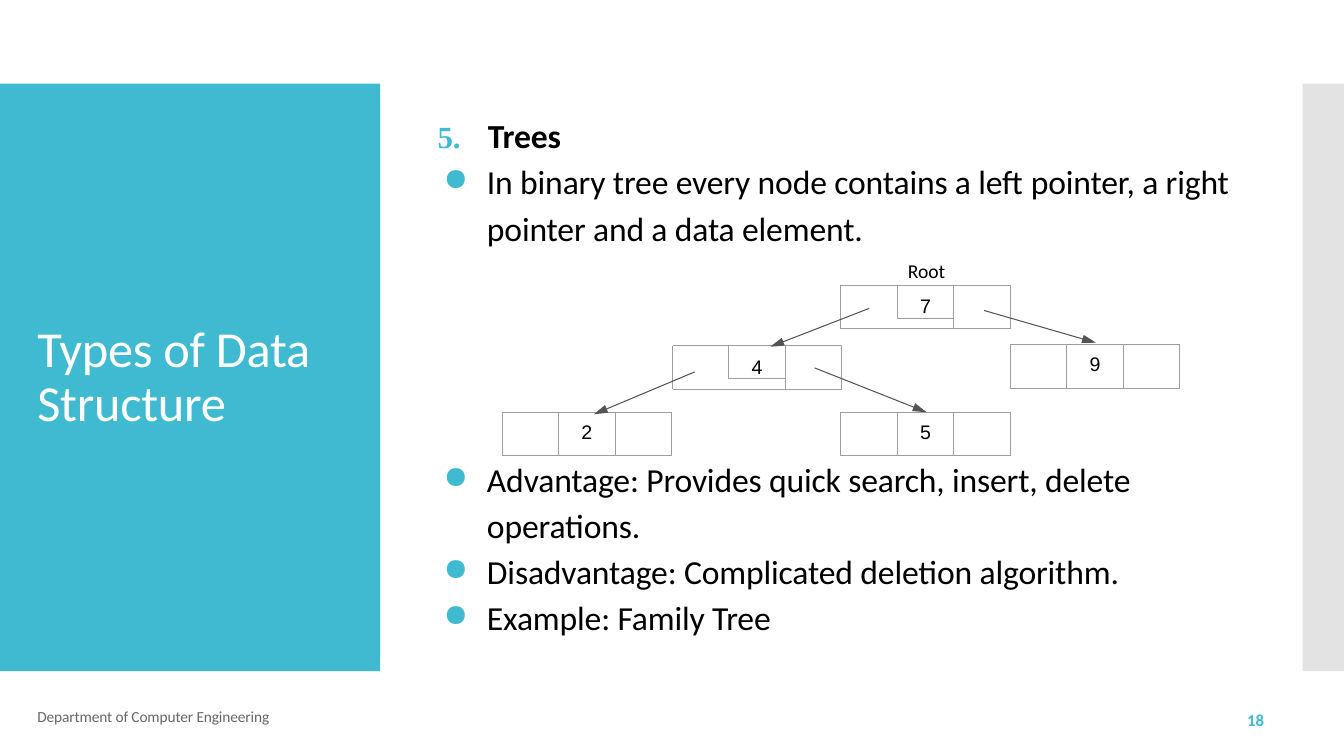
from dataclasses import dataclass

from lxml.etree import SubElement
from pptx import Presentation
from pptx.dml.color import RGBColor as Rgb
from pptx.enum.shapes import MSO_CONNECTOR as Link, MSO_SHAPE as Kind
from pptx.enum.text import PP_ALIGN as Align
from pptx.oxml.ns import qn
from pptx.util import Pt

PX = 9144  # 100 px to the inch
INK = {"teal": "40BAD1", "grey": "E3E3E3", "edge": "9E9E9E", "arrow": "545454",
       "note": "666666", "white": "FFFFFF", "black": "000000"}
CELL, TALL, INNER = 56, 43, 33


@dataclass
class Node:
    key: str
    x: int
    y: int
    framed: bool = False  # drawn with a short inner box instead of a table

    @property
    def wide(self) -> int:
        return 3 * CELL


@dataclass
class Arrow:
    x1: int
    y1: int
    x2: int
    y2: int


NODES = [
    Node("7", 834, 283, framed=True),
    Node("9", 1002, 342),
    Node("4", 667, 343, framed=True),
    Node("2", 498, 409),
    Node("5", 834, 409),
]
ARROWS = [
    Arrow(862, 306, 764, 344),
    Arrow(689, 369, 589, 411),
    Arrow(976, 308, 1087, 340),
    Arrow(808, 365, 919, 409),
]


def px(*nums: int) -> list[int]:
    return [n * PX for n in nums]


def tint(name: str) -> Rgb:
    return Rgb.from_string(INK[name])


def write(frame, text: str, size: float = 24, font: str = "Calibri",
          ink: str = "black", bold: bool = False, align=Align.LEFT,
          before: float = 0, lines=None, left: int = 0, hang: int = 0,
          dot: bool = False, tab: int = 0, spc: int = 0, join: bool = False):
    """Add a paragraph, or with join a further run in the last one."""
    para = frame.paragraphs[-1]
    if para.runs and not join:
        para = frame.add_paragraph()
    if not join:
        para.alignment = align
        para.space_before = Pt(before)
        if lines:
            para.line_spacing = lines
        props = para._p.get_or_add_pPr()
        props.set("marL", str(left * PX))
        props.set("indent", str(-hang * PX))
        if dot:
            tone = SubElement(props, qn("a:buClr"))
            SubElement(tone, qn("a:srgbClr"), val=INK["teal"])
            SubElement(props, qn("a:buSzPct"), val="92000")
            SubElement(props, qn("a:buChar"), char="●")
        if tab:
            tabs = SubElement(props, qn("a:tabLst"))
            SubElement(tabs, qn("a:tab"), pos=str(tab * PX), algn="l")
    run = para.add_run()
    run.text = text
    run.font.size, run.font.name, run.font.bold = Pt(size), font, bold
    run.font.color.rgb = tint(ink)
    if spc:
        run._r.get_or_add_rPr().set("spc", str(spc))


def inset(item, top: int):
    """Clear the margins of a frame or a cell, all but the top one."""
    item.margin_left = item.margin_right = item.margin_bottom = 0
    item.margin_top = top * PX


def box(slide, x: int, y: int, w: int, h: int, top: int = 0):
    frame = slide.shapes.add_textbox(*px(x, y, w, h)).text_frame
    frame.word_wrap = True
    inset(frame, top)
    return frame


def panel(slide, x: int, w: int, ink: str):
    shape = slide.shapes.add_shape(Kind.RECTANGLE, *px(x, 83, w, 583))
    shape.shadow.inherit = False
    shape.fill.solid()
    shape.fill.fore_color.rgb = tint(ink)
    shape.line.fill.background()


def outline(shape):
    shape.shadow.inherit = False
    shape.fill.background()
    shape.line.color.rgb = tint("edge")
    shape.line.width = Pt(0.75)


def label(frame, key: str):
    inset(frame, 9)
    write(frame, key, size=14, font="Arial", align=Align.CENTER, before=6.6)


def frame_node(slide, node: Node):
    x, y, end, low = node.x, node.y, node.x + node.wide, node.y + TALL
    rules = [((at, y), (at, low)) for at in (x, x + 2 * CELL, end)]
    rules += [((x, at), (end, at)) for at in (y, low)]
    pen = slide.shapes.build_freeform(*rules[0][0], scale=PX)
    for start, stop in rules:
        pen.move_to(*start)
        pen.add_line_segments([stop], close=False)
    outline(pen.convert_to_shape())
    inner = slide.shapes.add_shape(Kind.RECTANGLE, *px(x + CELL, y, CELL, INNER))
    outline(inner)
    inner.text_frame.word_wrap = True
    inner.text_frame.vertical_anchor = 1
    label(inner.text_frame, node.key)


def table_node(slide, node: Node):
    grid = slide.shapes.add_table(1, 3, *px(node.x, node.y, node.wide, TALL)).table
    grid.first_row = grid.horz_banding = False
    for col, cell in enumerate(grid.rows[0].cells):
        cell.fill.background()
        inset(cell, 9)
        props = cell._tc.get_or_add_tcPr()
        for place, side in enumerate(("lnL", "lnR", "lnT", "lnB")):
            line = SubElement(props, qn(f"a:{side}"), w="9525")
            fill = SubElement(line, qn("a:solidFill"))
            SubElement(fill, qn("a:srgbClr"), val=INK["edge"])
            props.insert(place, line)
        if col == 1:
            label_cell = cell.text_frame
            write(label_cell, node.key, size=14, font="Arial",
                  align=Align.CENTER, before=6.6)
        else:
            cell.text_frame.paragraphs[0].font.size = Pt(14)


def draw_arrow(slide, arrow: Arrow):
    line = slide.shapes.add_connector(
        Link.STRAIGHT, *px(arrow.x1, arrow.y1, arrow.x2, arrow.y2))
    line.line.color.rgb = tint("arrow")
    line.line.width = Pt(0.75)
    SubElement(line.line._get_or_add_ln(), qn("a:tailEnd"),
               type="triangle", w="med", len="lg")
    SubElement(line._element.spPr, qn("a:effectLst"))


def main():
    deck = Presentation()
    deck.slide_width, deck.slide_height = px(1333, 750)
    slide = deck.slides.add_slide(deck.slide_layouts[6])
    panel(slide, 0, 377, "teal")
    panel(slide, 1292, 41, "grey")

    write(box(slide, 37, 312, 285, 117, top=8), "Types of Data Structure",
          size=36, ink="white", lines=Pt(39), before=5.8, spc=-20)

    head = box(slide, 434, 113, 127, 43, top=1)
    write(head, "5.\t", size=22, font="Times New Roman", ink="teal",
          bold=True, before=1, tab=49)
    write(head, "Trees", bold=True, spc=-10, join=True)

    item = dict(left=45, hang=43, dot=True, spc=-10)
    intro = box(slide, 438, 153, 794, 129, top=1)
    write(intro, "In binary tree every node contains a left pointer, "
          "a right pointer and a data element.", lines=1.15, before=1, **item)
    write(intro, "Root", size=14, align=Align.CENTER, left=168, before=8, spc=-10)

    facts = box(slide, 438, 448, 702, 186, top=1)
    write(facts, "Advantage: Provides quick search, insert, delete operations.",
          lines=1.15, before=1, **item)
    for text in ("Disadvantage: Complicated deletion algorithm.",
                 "Example: Family Tree"):
        write(facts, text, before=4.2, **item)

    for node in NODES:
        (frame_node if node.framed else table_node)(slide, node)
    for arrow in ARROWS:
        draw_arrow(slide, arrow)

    write(box(slide, 37, 704, 249, 18), "Department of Computer Engineering",
          size=11, ink="note", lines=Pt(11.4), spc=-10)
    write(box(slide, 1233, 707, 26, 19), "18", size=12, ink="teal",
          bold=True, lines=Pt(12.3), left=4)
    deck.save("out.pptx")


if __name__ == "__main__":
    main()
